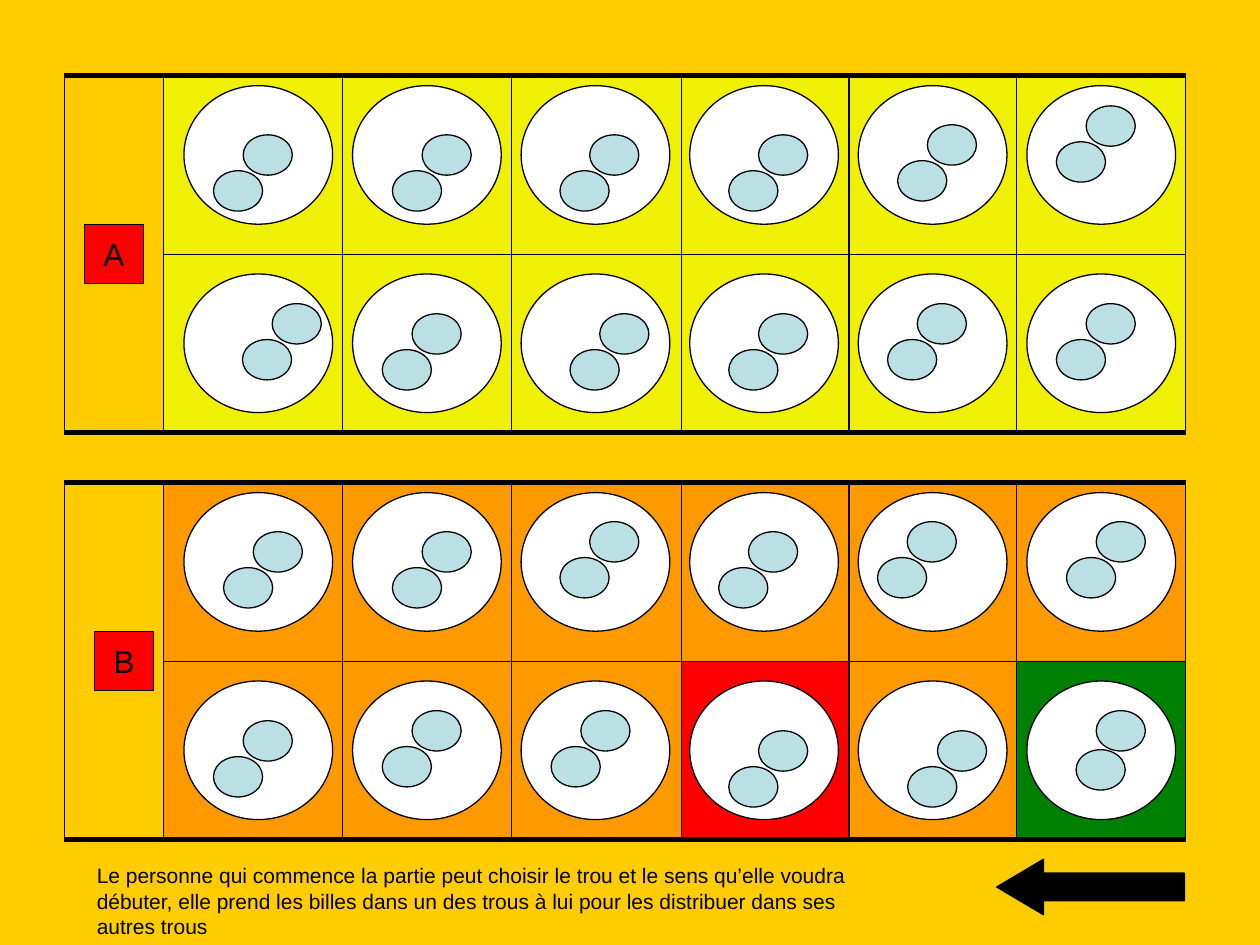
from dataclasses import dataclass, field
from itertools import pairwise

import lxml.etree
import pptx
import pptx.dml.color
import pptx.enum.shapes
import pptx.enum.text
import pptx.oxml.ns
import pptx.util

Inches = pptx.util.Inches
Kind = pptx.enum.shapes.MSO_SHAPE


@dataclass(frozen=True)
class Theme:
    background: str = "FFCC00"
    ink: str = "000000"
    hole: str = "FFFFFF"
    marble: str = "BBE0E3"
    red: str = "FF0000"
    green: str = "008000"
    yellow: str = "F0F004"
    orange: str = "FF9900"
    font: str = "Arial"
    label_size: int = 18
    rule_size: int = 12
    outline: float = 0.75
    divider: float = 1
    rail: float = 3


@dataclass(frozen=True)
class Box:
    left: float
    top: float
    width: float
    height: float


@dataclass(frozen=True)
class Board:
    name: str
    top: float
    color: str
    label_left: float
    label_top: float
    marbles: tuple[tuple[tuple[float, float], ...], ...]
    special_cells: dict[tuple[int, int], str] = field(default_factory=dict)


THEME = Theme()
BOARD_LEFT = 0.51
COLUMN_EDGES = (1.3, 2.72, 4.06, 5.41, 6.74, 8.07, 9.41)
ROW_EDGES = (0, 1.42, 2.83)
HOLE_LEFT, HOLE_STEP = 1.46, 1.338
HOLE_TOPS = (0.08, 1.575)
HOLE_SIZE = (1.18, 1.1)
MARBLE_SIZE = (0.39, 0.32)
PAIR_OFFSET = (-0.236, 0.285)
LABEL_SIDE = 0.47
RULE = (
    "Le personne qui commence la partie peut choisir le trou et le sens qu’elle voudra "
    "débuter, elle prend les billes dans un des trous à lui pour les distribuer dans ses autres trous"
)

BOARDS = (
    Board("A", 0.6, THEME.yellow, 0.67, 1.78, (
        ((1.93, 1.07), (3.35, 1.07), (4.68, 1.07), (6.02, 1.07), (7.36, 0.99), (8.62, 0.84)),
        ((2.16, 2.41), (3.27, 2.49), (4.76, 2.49), (6.02, 2.49), (7.28, 2.41), (8.62, 2.41)),
    )),
    Board("B", 3.83, THEME.orange, 0.75, 5.01, (
        ((2.01, 4.22), (3.35, 4.22), (4.68, 4.14), (5.94, 4.22), (7.2, 4.14), (8.7, 4.14)),
        ((1.93, 5.72), (3.27, 5.64), (4.61, 5.64), (6.02, 5.8), (7.44, 5.8), (8.7, 5.64)),
    ), {(1, 3): THEME.red, (1, 5): THEME.green}),
)


def rgb(color: str) -> pptx.dml.color.RGBColor:
    return pptx.dml.color.RGBColor.from_string(color)


def draw_shape(shapes, kind: Kind, box: Box, color: str | None):
    shape = shapes.add_shape(
        kind, Inches(box.left), Inches(box.top), Inches(box.width), Inches(box.height)
    )
    shape.shadow.inherit = False
    if color is None:
        shape.fill.background()
    else:
        shape.fill.solid()
        shape.fill.fore_color.rgb = rgb(color)
    shape.line.color.rgb = rgb(THEME.ink)
    shape.line.width = pptx.util.Pt(THEME.outline)
    return shape


def draw_horizontal_line(shapes, left: float, y: float, weight: float) -> None:
    connector = shapes.add_connector(
        pptx.enum.shapes.MSO_CONNECTOR.STRAIGHT,
        Inches(left), Inches(y), Inches(COLUMN_EDGES[-1]), Inches(y),
    )
    connector.line.color.rgb = rgb(THEME.ink)
    connector.line.width = pptx.util.Pt(weight)
    lxml.etree.SubElement(connector._element.spPr, pptx.oxml.ns.qn("a:effectLst"))


def write_text(paragraph, text: str, size: int) -> None:
    run = paragraph.add_run()
    run.text = text
    run.font.name = THEME.font
    run.font.size = pptx.util.Pt(size)
    run.font.color.rgb = rgb(THEME.ink)


def draw_board(slide, board: Board) -> None:
    shapes = slide.shapes.add_group_shape().shapes
    for row, (upper, lower) in enumerate(pairwise(ROW_EDGES)):
        for column, (left, right) in enumerate(pairwise(COLUMN_EDGES)):
            color = board.special_cells.get((row, column), board.color)
            cell = Box(left, board.top + upper, right - left, lower - upper)
            draw_shape(shapes, Kind.RECTANGLE, cell, color)
    side = Box(BOARD_LEFT, board.top, COLUMN_EDGES[0] - BOARD_LEFT, ROW_EDGES[-1])
    draw_shape(shapes, Kind.RECTANGLE, side, None)
    draw_horizontal_line(shapes, BOARD_LEFT, board.top, THEME.rail)
    draw_horizontal_line(shapes, BOARD_LEFT, board.top + ROW_EDGES[-1], THEME.rail)
    draw_horizontal_line(shapes, COLUMN_EDGES[0], board.top + ROW_EDGES[1], THEME.divider)
    for hole_top in HOLE_TOPS:
        for column in range(len(COLUMN_EDGES) - 1):
            hole = Box(HOLE_LEFT + column * HOLE_STEP, board.top + hole_top, *HOLE_SIZE)
            draw_shape(shapes, Kind.OVAL, hole, THEME.hole)


def draw_marbles(slide, board: Board) -> None:
    for row in board.marbles:
        for left, top in row:
            shapes = slide.shapes.add_group_shape().shapes
            offset = (-0.16, 0.31) if (left, top) == (8.7, 5.64) else PAIR_OFFSET
            for x, y in ((left, top), (left + offset[0], top + offset[1])):
                draw_shape(shapes, Kind.OVAL, Box(x, y, *MARBLE_SIZE), THEME.marble)


def draw_label(slide, board: Board) -> None:
    box = Box(board.label_left, board.label_top, LABEL_SIDE, LABEL_SIDE)
    shape = draw_shape(slide.shapes, Kind.RECTANGLE, box, THEME.red)
    frame = shape.text_frame
    frame.word_wrap = False
    frame.vertical_anchor = pptx.enum.text.MSO_ANCHOR.MIDDLE
    paragraph = frame.paragraphs[0]
    paragraph.alignment = pptx.enum.text.PP_ALIGN.CENTER
    write_text(paragraph, board.name, THEME.label_size)


def draw_direction_arrow(slide) -> None:
    arrow = draw_shape(slide.shapes, Kind.LEFT_ARROW, Box(7.91, 6.82, 1.49, 0.44), THEME.ink)
    arrow.adjustments[0] = 0.5
    arrow.adjustments[1] = 0.844


def draw_rule(slide) -> None:
    text_box = slide.shapes.add_textbox(Inches(0.67), Inches(6.8), Inches(6.3), Inches(0.7))
    frame = text_box.text_frame
    frame.word_wrap = True
    frame.auto_size = pptx.enum.text.MSO_AUTO_SIZE.SHAPE_TO_FIT_TEXT
    paragraph = frame.paragraphs[0]
    paragraph.space_before = pptx.util.Pt(7.5)
    write_text(paragraph, RULE, THEME.rule_size)


def main() -> None:
    presentation = pptx.Presentation()
    presentation.slide_width = Inches(10)
    presentation.slide_height = Inches(7.5)
    slide = presentation.slides.add_slide(presentation.slide_layouts[6])
    slide.background.fill.solid()
    slide.background.fill.fore_color.rgb = rgb(THEME.background)
    for draw in (draw_board, draw_marbles, draw_label):
        for board in BOARDS:
            draw(slide, board)
    draw_direction_arrow(slide)
    draw_rule(slide)
    presentation.save("out.pptx")


if __name__ == "__main__":
    main()
